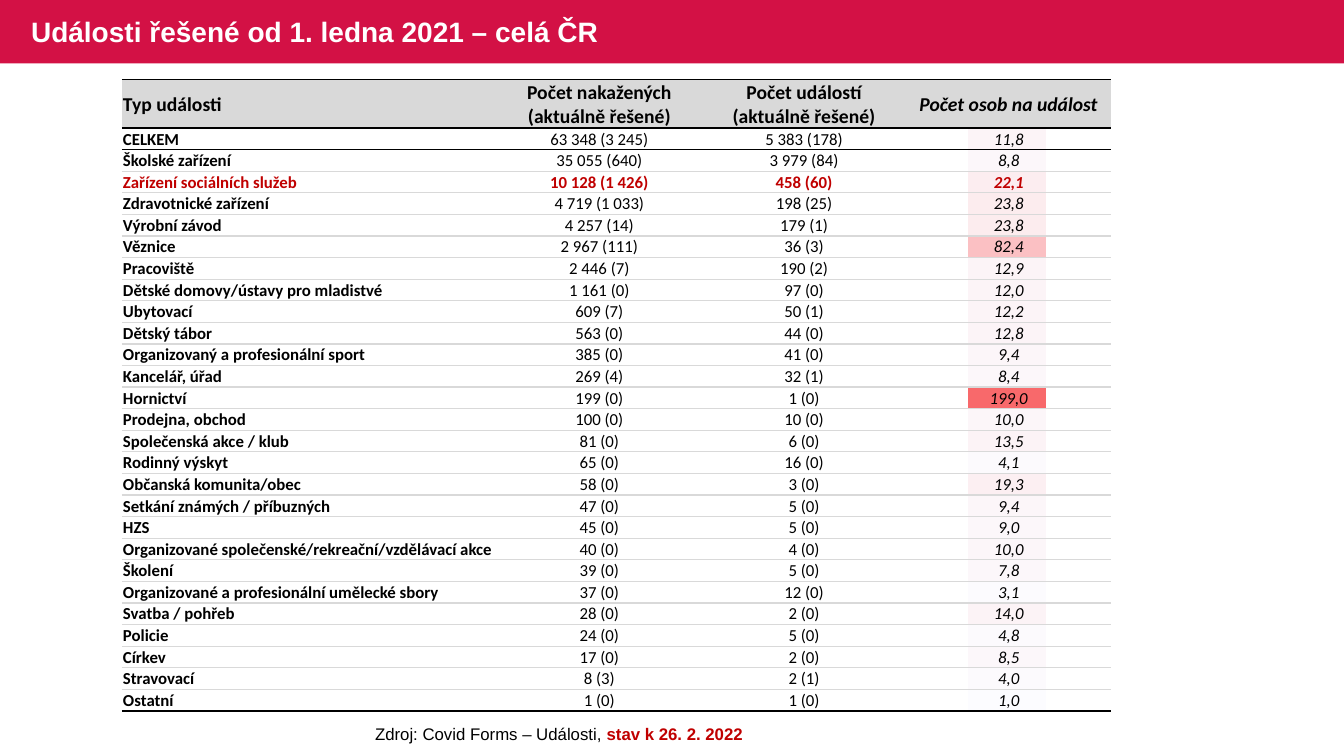
"""Build the slide with the table of events handled since 1 January 2021."""
import math

import pptx
import pptx.dml.color
import pptx.enum.shapes
import pptx.enum.text
import pptx.oxml
import pptx.util

Inches = pptx.util.Inches
RGBColor = pptx.dml.color.RGBColor
CENTER = pptx.enum.text.PP_ALIGN.CENTER
LEFT = pptx.enum.text.PP_ALIGN.LEFT
MIDDLE = pptx.enum.text.MSO_ANCHOR.MIDDLE

CRIMSON = RGBColor(0xD3, 0x11, 0x45)
RED = RGBColor(0xC0, 0x00, 0x00)
BLACK = RGBColor(0x00, 0x00, 0x00)
WHITE = RGBColor(0xFF, 0xFF, 0xFF)
GREY = RGBColor(0xD9, 0xD9, 0xD9)
HEAT_LOW = RGBColor(0xFC, 0xFC, 0xFF)
HEAT_HIGH = RGBColor(0xF8, 0x69, 0x6B)

PLAIN_STYLE = "{2D5ABB26-0587-4C30-8999-92F81FD0307C}"
NAMESPACE = "http://schemas.openxmlformats.org/drawingml/2006/main"

HEADERS = [
    "Typ události",
    "Počet nakažených\n(aktuálně řešené)",
    "Počet událostí\n(aktuálně řešené)",
    "Počet osob na událost",
]
EVENTS = [
    ("CELKEM", "63 348 (3 245)", "5 383 (178)", "11,8"),
    ("Školské zařízení", "35 055 (640)", "3 979 (84)", "8,8"),
    ("Zařízení sociálních služeb", "10 128 (1 426)", "458 (60)", "22,1"),
    ("Zdravotnické zařízení", "4 719 (1 033)", "198 (25)", "23,8"),
    ("Výrobní závod", "4 257 (14)", "179 (1)", "23,8"),
    ("Věznice", "2 967 (111)", "36 (3)", "82,4"),
    ("Pracoviště", "2 446 (7)", "190 (2)", "12,9"),
    ("Dětské domovy/ústavy pro mladistvé", "1 161 (0)", "97 (0)", "12,0"),
    ("Ubytovací", "609 (7)", "50 (1)", "12,2"),
    ("Dětský tábor", "563 (0)", "44 (0)", "12,8"),
    ("Organizovaný a profesionální sport", "385 (0)", "41 (0)", "9,4"),
    ("Kancelář, úřad", "269 (4)", "32 (1)", "8,4"),
    ("Hornictví", "199 (0)", "1 (0)", "199,0"),
    ("Prodejna, obchod", "100 (0)", "10 (0)", "10,0"),
    ("Společenská akce / klub", "81 (0)", "6 (0)", "13,5"),
    ("Rodinný výskyt", "65 (0)", "16 (0)", "4,1"),
    ("Občanská komunita/obec", "58 (0)", "3 (0)", "19,3"),
    ("Setkání známých / příbuzných", "47 (0)", "5 (0)", "9,4"),
    ("HZS", "45 (0)", "5 (0)", "9,0"),
    ("Organizované společenské/rekreační/vzdělávací akce", "40 (0)", "4 (0)", "10,0"),
    ("Školení", "39 (0)", "5 (0)", "7,8"),
    ("Organizované a profesionální umělecké sbory", "37 (0)", "12 (0)", "3,1"),
    ("Svatba / pohřeb", "28 (0)", "2 (0)", "14,0"),
    ("Policie", "24 (0)", "5 (0)", "4,8"),
    ("Církev", "17 (0)", "2 (0)", "8,5"),
    ("Stravovací", "8 (3)", "2 (1)", "4,0"),
    ("Ostatní", "1 (0)", "1 (0)", "1,0"),
]
HIGHLIGHT_ROW = 3
COLUMN_WIDTHS = [3.72, 2.03, 2.03, 2.03]
HEADER_HEIGHT = Inches(0.48)
ROW_HEIGHT = Inches(5.79) // len(EVENTS)


def write(para, text, font="Arial", size=12, color=BLACK, bold=False, italic=False, align=LEFT):
    """Add one formatted span to a paragraph."""
    para.alignment = align
    span = para.add_run()
    span.text = text
    span.font.name = font
    span.font.size = pptx.util.Pt(size)
    span.font.color.rgb = color
    span.font.bold = bold
    span.font.italic = italic


def add_plain_table(page, rows, columns, left, top, width, height):
    """Add a table without a banded style."""
    table = page.shapes.add_table(rows, columns, left, top, width, height).table
    table.first_row = False
    table.horz_banding = False
    table._tbl.tblPr.find(f"{{{NAMESPACE}}}tableStyleId").text = PLAIN_STYLE
    return table


deck = pptx.Presentation()
deck.slide_width = Inches(13.33)
deck.slide_height = Inches(7.5)
page = deck.slides.add_slide(deck.slide_layouts[6])

band = page.shapes.add_shape(
    pptx.enum.shapes.MSO_SHAPE.RECTANGLE, 0, 0, deck.slide_width, Inches(0.63))
band.shadow.inherit = False
band.fill.solid()
band.fill.fore_color.rgb = CRIMSON
band.line.fill.background()

heat_table = add_plain_table(
    page, len(EVENTS), 1, Inches(9.6), Inches(1.27), Inches(0.77), ROW_HEIGHT * len(EVENTS))
values = [float(event[3].replace(",", ".")) for event in EVENTS]
lowest, highest = min(values), max(values)
for index, value in enumerate(values):
    share = (value - lowest) / (highest - lowest)
    heat_table.rows[index].height = ROW_HEIGHT
    cell = heat_table.cell(index, 0)
    cell.margin_top = cell.margin_bottom = 0
    cell.text_frame.paragraphs[0]._p.get_or_add_endParaRPr().set("sz", "600")
    cell.fill.solid()
    cell.fill.fore_color.rgb = RGBColor(
        *[math.ceil(low + (high - low) * share) for low, high in zip(HEAT_LOW, HEAT_HIGH)])

title_box = page.shapes.add_textbox(Inches(0.21), Inches(0.02), Inches(8.13), Inches(0.63))
title_box.text_frame.word_wrap = True
title_box.text_frame.vertical_anchor = MIDDLE
title = title_box.text_frame.paragraphs[0]
title.line_spacing = 0.9
write(title, "Události řešené od 1. ledna 2021 – celá ČR", size=20, color=WHITE, bold=True)

source_box = page.shapes.add_textbox(Inches(2.06), Inches(7.13), Inches(6.97), Inches(0.3))
source_box.text_frame.word_wrap = True
source = source_box.text_frame.paragraphs[0]
write(source, "Zdroj: Covid Forms – Události, ", align=CENTER)
write(source, "stav k 26. 2. 2022", color=RED, bold=True, align=CENTER)

event_table = add_plain_table(
    page, len(EVENTS) + 1, len(HEADERS), Inches(1.21), Inches(0.79),
    Inches(sum(COLUMN_WIDTHS)), HEADER_HEIGHT + ROW_HEIGHT * len(EVENTS))
for column, width in zip(event_table.columns, COLUMN_WIDTHS):
    column.width = Inches(width)
for row, texts in enumerate([HEADERS, *EVENTS]):
    is_header = row == 0
    is_highlight = row == HIGHLIGHT_ROW
    event_table.rows[row].height = HEADER_HEIGHT if is_header else ROW_HEIGHT
    top_color = BLACK if row <= 2 else GREY
    bottom_color = BLACK if row <= 1 or row == len(EVENTS) else GREY
    for column, text in enumerate(texts):
        cell = event_table.cell(row, column)
        cell.vertical_anchor = MIDDLE
        cell.margin_left = cell.margin_right = cell.margin_top = Inches(0.01)
        cell.margin_bottom = 0
        for side, color in (("lnT", top_color), ("lnB", bottom_color)):
            cell._tc.get_or_add_tcPr().append(pptx.oxml.parse_xml(
                f'<a:{side} xmlns:a="{NAMESPACE}" w="12700"><a:solidFill>'
                f'<a:srgbClr val="{color}"/></a:solidFill></a:{side}>'))
        if is_header:
            cell.fill.solid()
            cell.fill.fore_color.rgb = GREY
        else:
            cell.fill.background()
        for number, line in enumerate(text.split("\n")):
            frame = cell.text_frame
            para = frame.add_paragraph() if number else frame.paragraphs[0]
            write(para, line, font="Calibri", size=14 if is_header else 12,
                  color=RED if is_highlight else BLACK,
                  bold=is_header or is_highlight or column == 0,
                  italic=column == 3, align=CENTER if column else LEFT)

deck.save("out.pptx")
